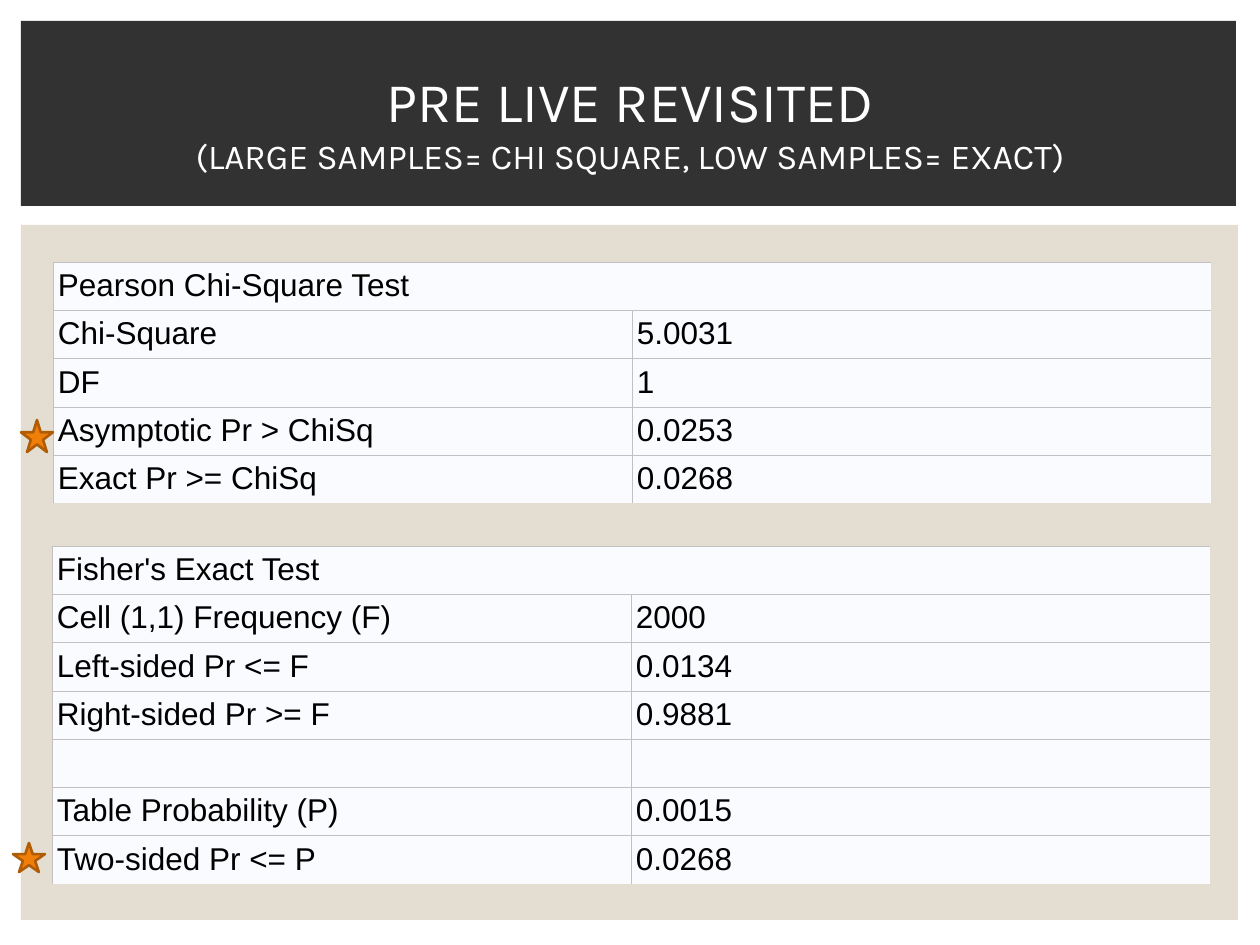
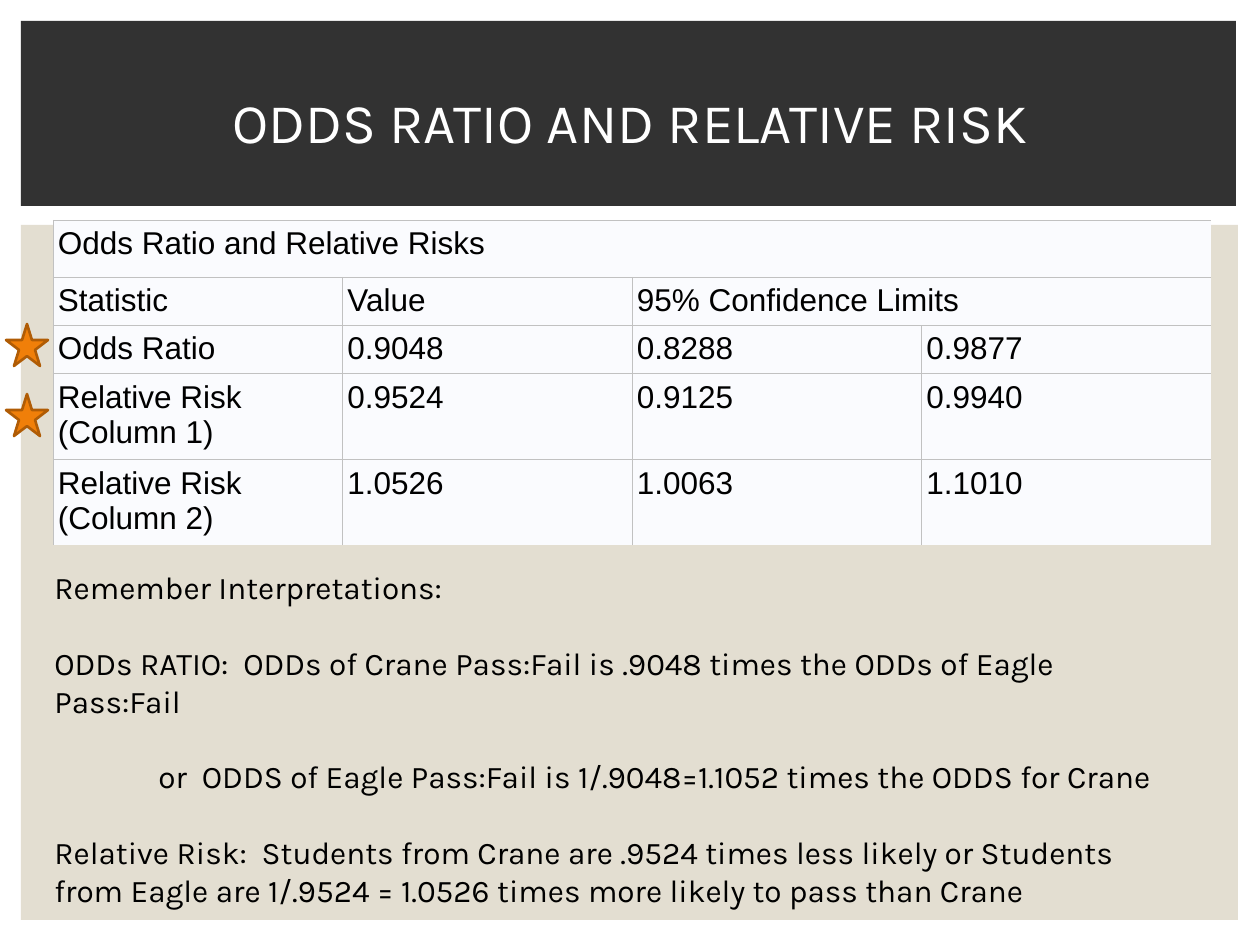
import pptx
import pptx.util
from pptx.dml.color import RGBColor
from pptx.enum.shapes import MSO_SHAPE
from pptx.enum.text import MSO_ANCHOR, MSO_AUTO_SIZE, PP_ALIGN
from pptx.oxml import parse_xml
from pptx.oxml.ns import nsdecls

WHITE = RGBColor(0xFF, 0xFF, 0xFF)
BLACK = RGBColor(0, 0, 0)
DARK = RGBColor(0x32, 0x32, 0x32)
SAND = RGBColor(0xE3, 0xDE, 0xD1)
PALE = RGBColor(0xFA, 0xFB, 0xFE)
GREY = RGBColor(0xC1, 0xC1, 0xC1)
ORANGE = RGBColor(0xF0, 0x7F, 0x09)
RUST = RGBColor(0xB0, 0x5C, 0x05)

SCALE = 914400 / 126  # EMU per px
WIDTH = 1158          # full width of every table
ROW = 48.3            # height of a one-line row


def px(n):
    return pptx.util.Emu(round(n * SCALE))


class Deck:
    def __init__(self):
        self.prs = pptx.Presentation()
        self.prs.slide_width, self.prs.slide_height = px(1260), px(945)
        self.layout = self.prs.slide_layouts[5]
        self.slide = None

    def font(self, para, name, size, color):
        para.font.name = name
        para.font.size = pptx.util.Pt(size)
        para.font.color.rgb = color

    def page(self, title, note=None):
        first = self.slide is None
        self.slide = self.prs.slides.add_slide(self.layout)
        if first:
            self.bands()
        box = self.slide.shapes.title
        box.left, box.top, box.width, box.height = map(px, (53, 49, 1155, 145))
        frame = box.text_frame
        frame.auto_size = MSO_AUTO_SIZE.NONE
        frame.vertical_anchor = MSO_ANCHOR.MIDDLE
        para = frame.paragraphs[0]
        para.alignment = PP_ALIGN.CENTER
        self.font(para, "Karla", 32, WHITE)
        para.add_run().text = title
        if note:
            para.add_line_break()
            run = para.add_run()
            run.text = note
            run.font.size = pptx.util.Pt(20)

    def bands(self):
        """Draw the two bands and move them to the layout all slides share."""
        tree = self.layout.shapes._spTree
        panel = self.shape(MSO_SHAPE.RECTANGLE, 21, 225, 1217, 695, SAND)
        head = self.shape(MSO_SHAPE.RECTANGLE, 21, 21, 1215, 185, DARK)
        for i, band in enumerate((panel, head)):
            band._element.nvSpPr.cNvPr.set("id", str(101 + i))
            tree.insert(2 + i, band._element)

    def shape(self, kind, x, y, w, h, fill, line=None):
        item = self.slide.shapes.add_shape(kind, px(x), px(y), px(w), px(h))
        item.shadow.inherit = False
        item.fill.solid()
        item.fill.fore_color.rgb = fill
        if line is None:
            item.line.fill.background()
        else:
            item.line.color.rgb = line
            item.line.width = pptx.util.Pt(1.5)
        return item

    def star(self, x, y, w, h):
        self.shape(MSO_SHAPE.STAR_5_POINT, x, y, w, h, ORANGE, RUST)

    def border(self, cell, sides):
        """Rule the given sides of a cell and leave the others bare."""
        props = cell._tc.get_or_add_tcPr()
        for i, side in enumerate("LRTB"):
            if side in sides:
                fill = f'<a:solidFill><a:srgbClr val="{GREY}"/></a:solidFill>'
            else:
                fill = "<a:noFill/>"
            props.insert(i, parse_xml(
                f'<a:ln{side} {nsdecls("a")} w="3556">{fill}</a:ln{side}>'))

    def table(self, x, y, rows, tall=None):
        """A row shorter than the grid has its last cell spread to the right."""
        tall = tall or [ROW] * len(rows)
        cols = max(map(len, rows))
        grid = self.slide.shapes.add_table(
            len(rows), cols, px(x), px(y), px(WIDTH), px(sum(tall))).table
        grid.first_row = grid.horz_banding = False
        for col in grid.columns:
            col.width = px(WIDTH / cols)
        for r, texts in enumerate(rows):
            grid.rows[r].height = px(tall[r])
            end = len(texts) - 1
            for c in range(cols):
                cell = grid.cell(r, c)
                cell.margin_left = cell.margin_right = px(5)
                cell.margin_top = cell.margin_bottom = px(6)
                cell.fill.solid()
                cell.fill.fore_color.rgb = PALE
                if c <= end:
                    cell.text = texts[c]
                self.font(cell.text_frame.paragraphs[0], "Arial", 18, BLACK)
                right = "R" if c < end or end < c < cols - 1 else ""
                below = "B" if r < len(rows) - 1 else ""
                self.border(cell, "LT" + right + below)
            if end < cols - 1:
                grid.cell(r, end).merge(grid.cell(r, cols - 1))

    def notes(self, x, y, w, h, lines):
        """Spaced paragraphs, each given as text and left indent in px."""
        frame = self.slide.shapes.add_textbox(
            px(x), px(y), px(w), px(h)).text_frame
        frame.word_wrap = True
        for i, (text, indent) in enumerate(lines):
            para = frame.paragraphs[0] if i == 0 else frame.add_paragraph()
            para.text = text
            self.font(para, "Karla", 18, BLACK)
            if i:
                para.space_before = pptx.util.Pt(21.6)
            if indent:
                para._p.get_or_add_pPr().set("marL", str(px(indent)))


def main():
    deck = Deck()

    # Chi-square and exact tests
    deck.page("PRE LIVE REVISITED",
              "(LARGE SAMPLES= CHI SQUARE, LOW SAMPLES= EXACT)")
    deck.table(53, 262, [
        ["Pearson Chi-Square Test"],
        ["Chi-Square", "5.0031"],
        ["DF", "1"],
        ["Asymptotic Pr > ChiSq", "0.0253"],
        ["Exact Pr >= ChiSq", "0.0268"],
    ])
    deck.table(52, 546, [
        ["Fisher's Exact Test"],
        ["Cell (1,1) Frequency (F)", "2000"],
        ["Left-sided Pr <= F", "0.0134"],
        ["Right-sided Pr >= F", "0.9881"],
        ["", ""],
        ["Table Probability (P)", "0.0015"],
        ["Two-sided Pr <= P", "0.0268"],
    ])
    deck.star(21, 420, 32, 32)
    deck.star(13, 843, 32, 29)

    # Odds ratio and relative risk
    deck.page("ODDS RATIO AND RELATIVE RISK")
    for y in (394, 324):
        deck.star(6, y, 42, 42)
    deck.table(53, 220, [
        ["Odds Ratio and Relative Risks"],
        ["Statistic", "Value", "95% Confidence Limits"],
        ["Odds Ratio", "0.9048", "0.8288", "0.9877"],
        ["Relative Risk (Column 1)", "0.9524", "0.9125", "0.9940"],
        ["Relative Risk (Column 2)", "1.0526", "1.0063", "1.1010"],
    ], [57, ROW, ROW, 86, 86])
    deck.notes(42, 562, 1144, 390, [
        ("Remember Interpretations:", 0),
        ("ODDs RATIO:  ODDs of Crane Pass:Fail is .9048 times "
         "the ODDs of Eagle Pass:Fail", 0),
        ("or  ODDS of Eagle Pass:Fail is 1/.9048=1.1052 times "
         "the ODDS for Crane", 104),
        ("Relative Risk:  Students from Crane are .9524 times less likely "
         "or Students from Eagle are 1/.9524 = 1.0526 times more likely "
         "to pass than Crane", 0),
    ])

    deck.prs.save("out.pptx")


if __name__ == "__main__":
    main()
